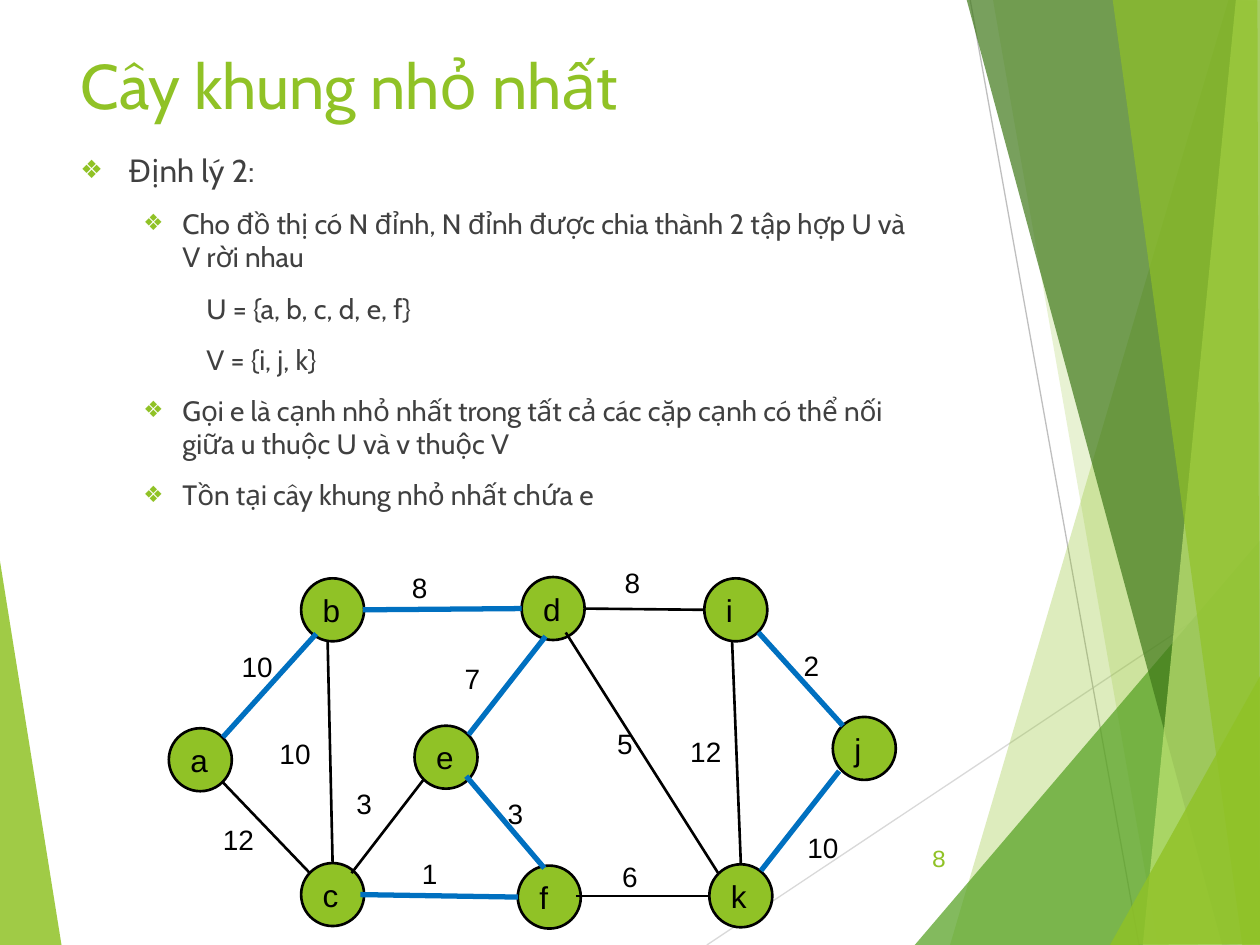
"""Build a slide on the second theorem of minimum spanning trees, with its graph."""
import pptx
import pptx.dml.color
import pptx.enum.shapes
import pptx.enum.text
import pptx.oxml
import pptx.oxml.ns
import pptx.util
from dataclasses import dataclass

Inches = pptx.util.Inches
Pt = pptx.util.Pt
qn = pptx.oxml.ns.qn


@dataclass(frozen=True)
class Theme:
    green: str = "90C226"
    leaf: str = "54A021"
    dark: str = "3F7819"
    lime: str = "C0E474"
    ink: str = "000000"
    body: str = "404040"
    blue: str = "0070C0"
    pale: str = "D9D9D9"
    gray: str = "BFBFBF"
    font: str = "Cabin"
    label: str = "Arial"
    mono: str = "Courier New"
    title: int = 36
    large: int = 18
    small: int = 16
    page: int = 14


T = Theme()
TITLE = "Cây khung nhỏ nhất"
BODY = [
    (0, True, "Định lý 2: "),
    (1, True, "Cho đồ thị có N đỉnh, N đỉnh được chia thành 2 tập hợp U và V rời nhau"),
    (1, False, "\tU = {a, b, c, d, e, f}"),
    (1, False, "\tV = {i, j, k}"),
    (1, True, "Gọi e là cạnh nhỏ nhất trong tất cả các cặp cạnh có thể nối giữa u thuộc U và v thuộc V"),
    (1, True, "Tồn tại cây khung nhỏ nhất chứa e"),
]
RAYS = [
    (5.61, 7.5, 10.01, 4.57, T.pale),
    (7.7, 0, 9.04, 7.5, T.gray),
]
WEDGE = (T.green, 85, [(-0.01, 4.39), (0.49, 7.51), (-0.01, 7.5)])
FACETS = [
    (T.green, 30, [(9.75, 0), (7.54, 7.5), (10.02, 7.51), (10.01, 0.01)]),
    (T.green, 20, [(7.88, -0.01), (9.19, 7.5), (10.01, 7.5), (10.01, -0.01)]),
    (T.leaf, 72, [(7.26, 7.5), (10, 4.29), (10.01, 7.5)]),
    (T.dark, 70, [(7.67, -0.01), (9.7, 7.5), (10.01, 7.49), (10.01, -0.01)]),
    (T.lime, 70, [(9.81, -0.01), (9.07, 7.5), (10.01, 7.5), (10, -0.01)]),
    (T.green, 65, [(8.83, -0.01), (9.86, 7.5), (10, 7.5), (9.98, -0.01)]),
    (T.green, 80, [(8.81, 7.5), (10.01, 5.35), (10.01, 7.49)]),
]
SIZE = 0.5
NODES = {
    "a": (1.34, 5.78), "b": (2.39, 4.59), "d": (4.14, 4.58),
    "i": (5.59, 4.59), "c": (2.39, 6.85), "e": (3.29, 5.76),
    "f": (4.11, 6.87), "k": (5.63, 6.86), "j": (6.61, 5.69),
}
TREE = [
    (2.51, 5.03, 1.77, 5.85, "10", 1.82, 5.11),
    (4.33, 5.05, 3.72, 5.83, "7", 3.59, 5.2),
    (6.66, 6.12, 6.04, 6.91, "10", 6.31, 6.54),
    (6.02, 5.02, 6.69, 5.76, "2", 6.28, 5.1),
    (3.7, 6.16, 4.32, 6.89, "3", 3.93, 6.27),
    (2.88, 4.84, 4.14, 4.83, "8", 3.17, 4.48),
    (2.86, 7.1, 4.11, 7.12, "1", 3.25, 6.75),
]
REST = [
    (3.36, 6.19, 2.79, 6.93, "3", 2.73, 6.19),
    (4.49, 5.02, 5.7, 6.93, "5", 4.8, 5.72),
    (4.64, 4.83, 5.59, 4.84, "8", 4.86, 4.44),
    (1.77, 6.21, 2.46, 6.93, "12", 1.67, 6.48),
    (4.57, 7.11, 5.63, 7.11, "6", 4.84, 6.77),
    (5.88, 6.86, 5.81, 5.08, "12", 5.38, 5.78),
    (2.6, 5.08, 2.64, 6.85, "10", 2.12, 5.8),
]


def rgb(tone):
    return pptx.dml.color.RGBColor.from_string(tone)


def sub(node, tag, **attrs):
    item = pptx.oxml.ns.qn(tag)
    child = node.makeelement(item, attrs)
    node.append(child)
    return child


def style(para, size, tone, face):
    para.font.size = Pt(size)
    para.font.name = face
    para.font.color.rgb = rgb(tone)


def box(left, top, width, height):
    frame = slide.shapes.add_textbox(*map(Inches, (left, top, width, height))).text_frame
    frame.word_wrap = True
    return frame


def write(frame, text, size, tone, face):
    para = frame.paragraphs[0]
    para.text = text
    style(para, size, tone, face)
    return para


def facet(tone, alpha, points):
    first, *rest = [tuple(map(Inches, point)) for point in points]
    pen = slide.shapes.build_freeform(*first)
    pen.add_line_segments(rest, close=True)
    shape = pen.convert_to_shape()
    shape.shadow.inherit = False
    shape.fill.solid()
    shape.fill.fore_color.rgb = rgb(tone)
    shape.line.fill.background()
    color = shape.fill._xPr.find(".//" + qn("a:srgbClr"))
    sub(color, "a:alpha", val=str(alpha * 1000))


def line(ends, tone, width):
    kind = pptx.enum.shapes.MSO_CONNECTOR.STRAIGHT
    link = slide.shapes.add_connector(kind, *map(Inches, ends))
    link.line.color.rgb = rgb(tone)
    link.line.width = Pt(width)
    sub(link._element.spPr, "a:effectLst")


def bullet(props):
    sub(sub(props, "a:buClr"), "a:srgbClr", val=T.green)
    sub(props, "a:buSzPct", val="80000")
    sub(props, "a:buFont", typeface=T.label)
    sub(props, "a:buChar", char="❖")


def outline(frame):
    for n, (level, mark, text) in enumerate(BODY):
        para = frame.add_paragraph() if n else frame.paragraphs[0]
        para.text = text
        para.level = level
        para.space_before = Pt(10)
        left, hang = ((0.38, 0.38), (0.81, 0.31))[level] if mark else (0.5, 0)
        props = para._p.get_or_add_pPr()
        props.set("marL", str(Inches(left)))
        props.set("indent", str(-Inches(hang)))
        if mark:
            bullet(props)
        style(para, T.small if level else T.large, T.body, T.font)


def node(name, left, top):
    kind = pptx.enum.shapes.MSO_SHAPE.OVAL
    shape = slide.shapes.add_shape(kind, *map(Inches, (left, top, SIZE, SIZE)))
    shape.shadow.inherit = False
    shape.fill.solid()
    shape.fill.fore_color.rgb = rgb(T.green)
    shape.line.color.rgb = rgb(T.ink)
    shape.line.width = Pt(1.5)
    shape.text_frame.vertical_anchor = pptx.enum.text.MSO_ANCHOR.MIDDLE
    para = write(shape.text_frame, name, T.large, T.ink, T.label)
    para.alignment = pptx.enum.text.PP_ALIGN.LEFT


deck = pptx.Presentation()
deck.slide_width, deck.slide_height = Inches(10), Inches(7.5)
slide = deck.slides.add_slide(deck.slide_layouts[6])

facet(*WEDGE)
for *ends, tone in RAYS:
    line(ends, tone, 0.75)
for part in FACETS:
    facet(*part)

write(box(0.54, 0.32, 6.94, 1.44), TITLE, T.title, T.green, T.font)
outline(box(0.54, 1.15, 6.94, 4.24))
page = box(7.05, 6.61, 0.56, 0.4)
page.vertical_anchor = pptx.enum.text.MSO_ANCHOR.MIDDLE
write(page, "8", T.page, T.green, T.mono).alignment = pptx.enum.text.PP_ALIGN.RIGHT

for name, spot in NODES.items():
    node(name, *spot)
for edges, tone, width in ((TREE, T.blue, 3), (REST, T.ink, 1.5)):
    for *ends, cost, left, top in edges:
        line(ends, tone, width)
        write(box(left, top, 0.76, 0.5), cost, T.small, T.ink, T.label)

deck.save("out.pptx")
